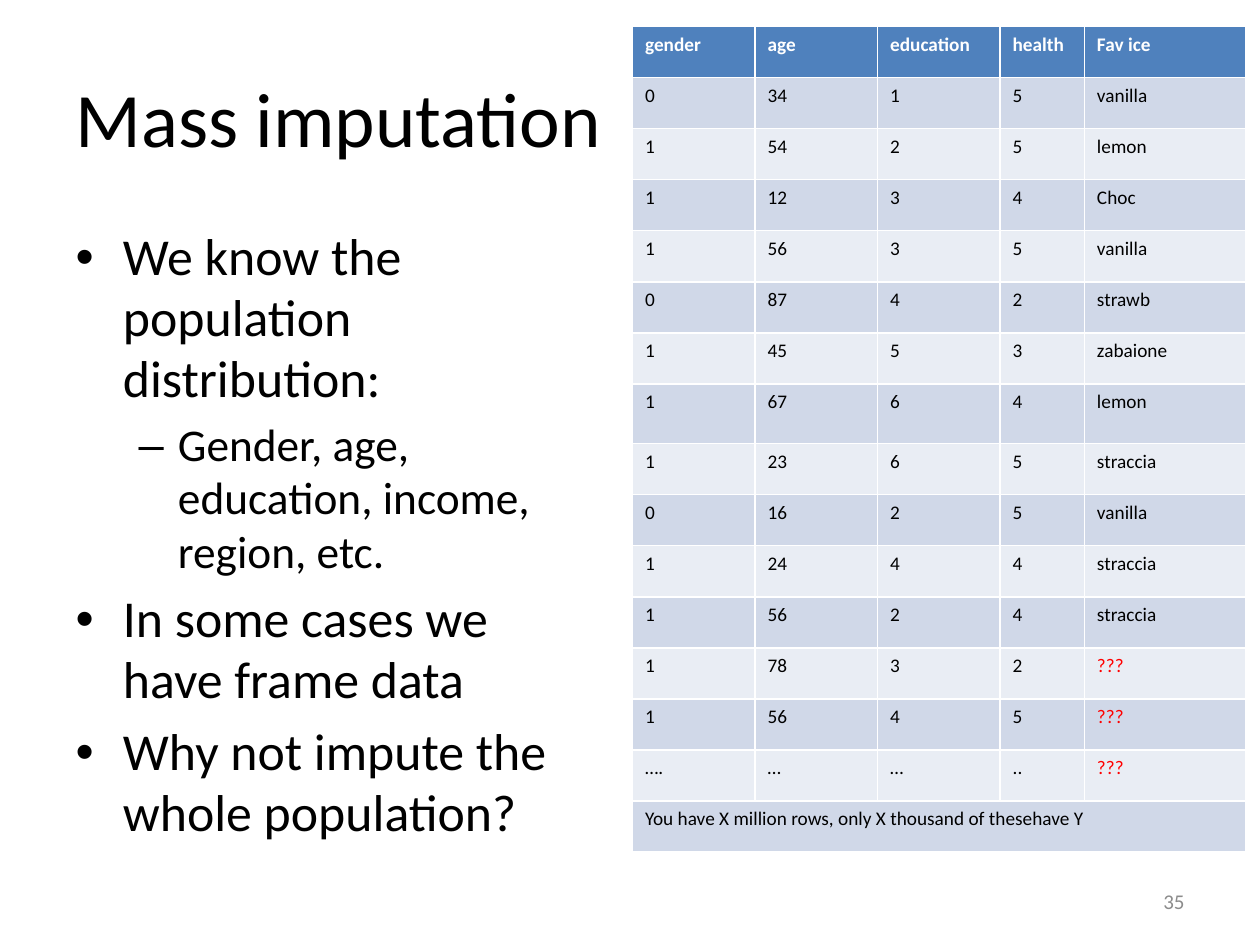
"""Build the mass imputation slide with its population table."""
from pptx import Presentation
from pptx.dml.color import RGBColor
from pptx.enum import text
from pptx.util import Cm, Pt

FONT = "Calibri"
BLACK = RGBColor(0x00, 0x00, 0x00)
WHITE = RGBColor(0xFF, 0xFF, 0xFF)
RED = RGBColor(0xFF, 0x00, 0x00)
GREY = RGBColor(0x8C, 0x8C, 0x8C)
HEADER_BLUE = RGBColor(0x4F, 0x81, 0xBD)
BAND_DARK = RGBColor(0xD0, 0xD8, 0xE8)
BAND_LIGHT = RGBColor(0xE9, 0xED, 0xF4)

MISSING = "???"
POINTS = [
    (0, "We know the population distribution:"),
    (1, "Gender, age, education, income, region, etc."),
    (0, "In some cases we have frame data"),
    (0, "Why not impute the whole population?"),
]
POINT_SIZES = (29.6, 25.9)
COLUMN_WIDTHS = (2.47, 2.47, 2.47, 1.7, 3.25)
ROW_HEIGHT, TALL_ROW_HEIGHT, TALL_ROW = 1.03, 1.2, 7
RECORDS = [
    ("gender", "age", "education", "health", "Fav ice"),
    ("0", "34", "1", "5", "vanilla"),
    ("1", "54", "2", "5", "lemon"),
    ("1", "12", "3", "4", "Choc"),
    ("1", "56", "3", "5", "vanilla"),
    ("0", "87", "4", "2", "strawb"),
    ("1", "45", "5", "3", "zabaione"),
    ("1", "67", "6", "4", "lemon"),
    ("1", "23", "6", "5", "straccia"),
    ("0", "16", "2", "5", "vanilla"),
    ("1", "24", "4", "4", "straccia"),
    ("1", "56", "2", "4", "straccia"),
    ("1", "78", "3", "2", MISSING),
    ("1", "56", "4", "5", MISSING),
    ("….", "…", "…", "..", MISSING),
    ("You have X million rows, only X thousand of thesehave Y",),
]


def style(paragraph, size, color, bold=False):
    """Set the font of a whole paragraph."""
    font = paragraph.font
    font.name, font.size, font.bold = FONT, Pt(size), bold
    font.color.rgb = color


def place(shape, box):
    """Move a shape to a box of left, top, width and height in centimetres."""
    shape.left, shape.top, shape.width, shape.height = map(Cm, box)


def add_heading(slide, box):
    """Fill the title placeholder."""
    heading = slide.shapes.title
    place(heading, box)
    heading.text_frame.text = "Mass imputation"
    heading.text_frame.vertical_anchor = text.MSO_ANCHOR.MIDDLE
    paragraph = heading.text_frame.paragraphs[0]
    paragraph.alignment = text.PP_ALIGN.LEFT
    style(paragraph, 44, BLACK)


def add_points(slide, box):
    """Fill the body placeholder with the two-level list."""
    body = slide.placeholders[1]
    place(body, box)
    frame = body.text_frame
    frame.text = "\n".join(wording for _, wording in POINTS)
    frame.auto_size = text.MSO_AUTO_SIZE.NONE
    for paragraph, (level, _) in zip(frame.paragraphs, POINTS):
        paragraph.level = level
        paragraph.line_spacing = 0.98
        style(paragraph, POINT_SIZES[level], BLACK)


def add_population(slide, box):
    """Add the banded table, its last row merged into one note."""
    last = len(RECORDS) - 1
    population = slide.shapes.add_table(
        len(RECORDS), len(COLUMN_WIDTHS), *map(Cm, box)).table
    for column, width in zip(population.columns, COLUMN_WIDTHS):
        column.width = Cm(width)
    population.cell(last, 0).merge(population.cell(last, len(COLUMN_WIDTHS) - 1))
    for i, record in enumerate(RECORDS):
        population.rows[i].height = Cm(
            TALL_ROW_HEIGHT if i == TALL_ROW else ROW_HEIGHT)
        header = i == 0
        band = HEADER_BLUE if header else BAND_DARK if i % 2 else BAND_LIGHT
        for j, value in enumerate(record):
            cell = population.cell(i, j)
            cell.fill.solid()
            cell.fill.fore_color.rgb = band
            cell.text = value
            color = WHITE if header else RED if value == MISSING else BLACK
            style(cell.text_frame.paragraphs[0], 11, color, header)


def add_page_number(slide, box):
    """Add the page number, set to the right."""
    frame = slide.shapes.add_textbox(*map(Cm, box)).text_frame
    frame.word_wrap = True
    frame.vertical_anchor = text.MSO_ANCHOR.MIDDLE
    frame.text = "35"
    frame.paragraphs[0].alignment = text.PP_ALIGN.RIGHT
    style(frame.paragraphs[0], 12, GREY)


def main():
    """Build and save the slide."""
    deck = Presentation()
    deck.slide_width, deck.slide_height = Cm(25.4), Cm(19.05)
    slide = deck.slides.add_slide(deck.slide_layouts[1])
    add_heading(slide, (1.27, 0.76, 22.86, 3.18))
    add_points(slide, (1.27, 4.45, 10.24, 12.57))
    add_population(slide, (12.75, 0.53, 12.36, 16.65))
    add_page_number(slide, (18.21, 17.65, 5.92, 1.02))
    deck.save("out.pptx")


main()
